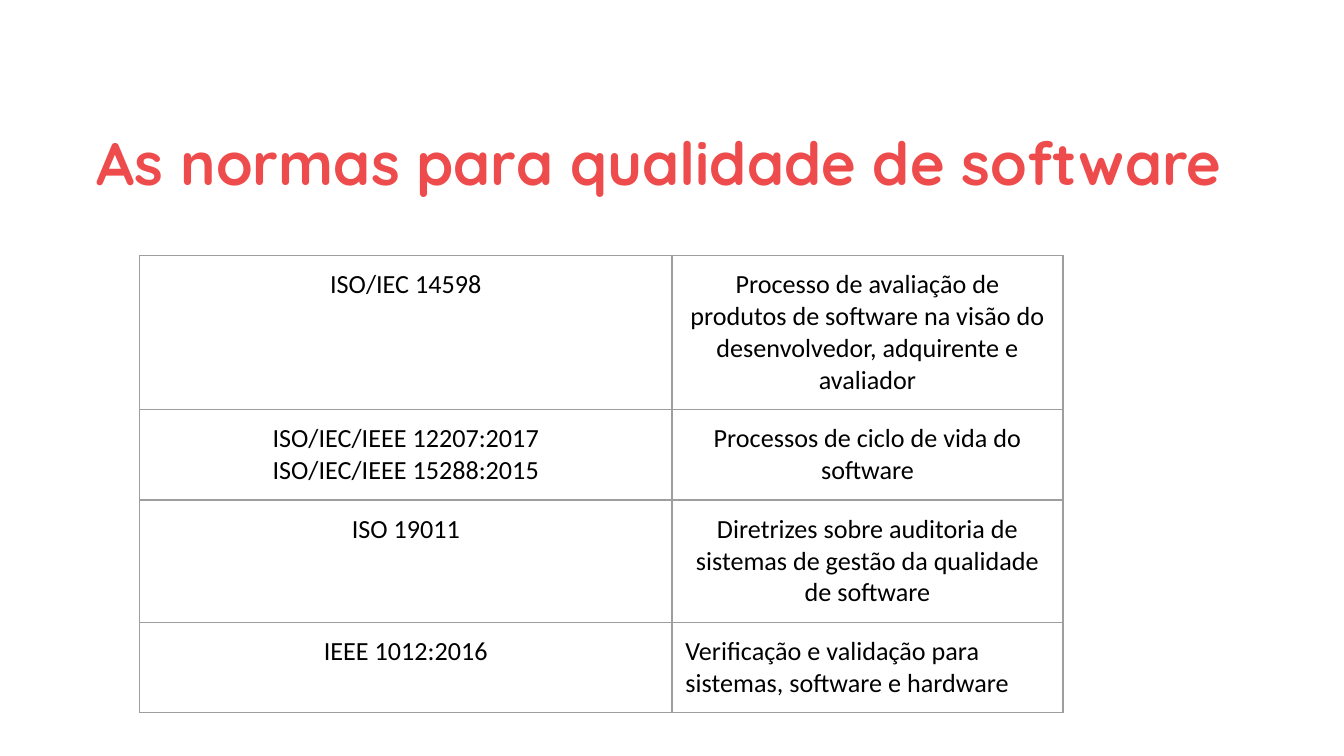
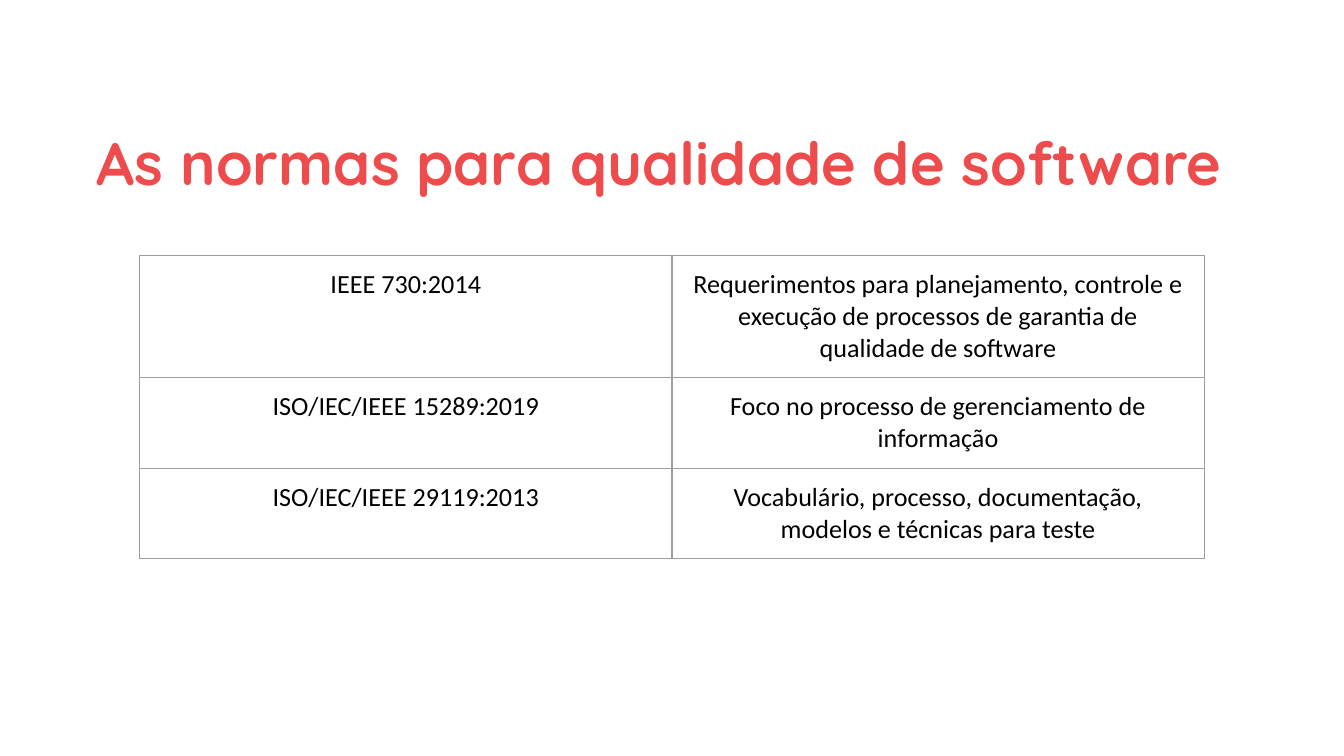
from lxml import etree
from pptx import Presentation
from pptx.dml.color import RGBColor
from pptx.enum.text import MSO_ANCHOR, MSO_AUTO_SIZE, PP_ALIGN
from pptx.oxml.ns import qn
from pptx.util import Inches, Pt

LEFT, CENTER = PP_ALIGN.LEFT, PP_ALIGN.CENTER
MIDDLE, TOP = MSO_ANCHOR.MIDDLE, MSO_ANCHOR.TOP
NO_AUTOFIT = MSO_AUTO_SIZE.NONE

RED = RGBColor(0xEE, 0x4C, 0x4C)
BLACK = RGBColor(0, 0, 0)
GRAY = RGBColor(0x9E, 0x9E, 0x9E)

SLIDE_W = Inches(10)
SLIDE_H = SLIDE_W * 9 // 16
TITLE_BOX = [Inches(n) for n in (0.62, 0.7, 9.06, 0.92)]
TABLE_LEFT, TABLE_TOP = Inches(1.04), Inches(1.9)
WIDE, NARROW = Inches(3.96), Inches(2.91)
ROW_H = Inches(0.42)
INSET = Inches(0.1)
BORDER_W = Pt(0.75)

TITLE = "As normas para qualidade de software"
EVALUATION_NORMS = [
    ("ISO/IEC 14598",
     "Processo de avaliação de produtos de software na visão do "
     "desenvolvedor, adquirente e avaliador"),
    ("ISO/IEC/IEEE 12207:2017\nISO/IEC/IEEE 15288:2015",
     "Processos de ciclo de vida do software"),
    ("ISO 19011",
     "Diretrizes sobre auditoria de sistemas de gestão da qualidade "
     "de software"),
    ("IEEE 1012:2016",
     "Verificação e validação para sistemas, software e hardware"),
]
PROCESS_NORMS = [
    ("IEEE 730:2014",
     "Requerimentos para planejamento, controle e execução de processos "
     "de garantia de qualidade de software"),
    ("ISO/IEC/IEEE 15289:2019",
     "Foco no processo de gerenciamento de informação"),
    ("ISO/IEC/IEEE 29119:2013",
     "Vocabulário, processo, documentação, modelos e técnicas para teste"),
]


def write(tf, text, size=14, font="Calibri", color=BLACK, bold=False,
          align=CENTER, spacing=1.0):
    """Fill a text frame, one paragraph for each line of text."""
    tf.word_wrap = True
    for i, line in enumerate(text.split("\n")):
        p = tf.paragraphs[0] if i == 0 else tf.add_paragraph()
        p.alignment = align
        p.line_spacing = spacing
        r = p.add_run()
        r.text = line
        r.font.size = Pt(size)
        r.font.name = font
        r.font.bold = bold
        r.font.color.rgb = color


def set_insets(box):
    box.margin_left = box.margin_right = INSET
    box.margin_top = box.margin_bottom = INSET


def add_borders(cell):
    tcPr = cell._tc.get_or_add_tcPr()
    for side in ("a:lnL", "a:lnR", "a:lnT", "a:lnB"):
        ln = etree.SubElement(tcPr, qn(side), w=str(BORDER_W))
        fill = etree.SubElement(ln, qn("a:solidFill"))
        etree.SubElement(fill, qn("a:srgbClr"), val=str(GRAY))


def add_title(slide, text):
    sp = slide.shapes.title
    sp.left, sp.top, sp.width, sp.height = TITLE_BOX
    tf = sp.text_frame
    tf.auto_size = NO_AUTOFIT
    tf.vertical_anchor = MIDDLE
    set_insets(tf)
    write(tf, text, size=32, font="Quicksand", color=RED, bold=True,
          align=LEFT, spacing=1.15)


def add_norm_table(slide, norms, widths, left_aligned=()):
    """Add a table of norms; left_aligned lists (row, column) exceptions."""
    table = slide.shapes.add_table(
        len(norms), len(widths), TABLE_LEFT, TABLE_TOP,
        sum(widths), ROW_H * len(norms)).table
    table.first_row = table.horz_banding = False
    for column, width in zip(table.columns, widths):
        column.width = width
    for i, norm in enumerate(norms):
        for j, text in enumerate(norm):
            cell = table.cell(i, j)
            set_insets(cell)
            cell.vertical_anchor = TOP
            add_borders(cell)
            cell.fill.background()
            write(cell.text_frame, text,
                  align=LEFT if (i, j) in left_aligned else CENTER)


def add_norm_slide(prs, norms, widths, left_aligned=()):
    slide = prs.slides.add_slide(prs.slide_layouts.get_by_name("Title Only"))
    add_title(slide, TITLE)
    add_norm_table(slide, norms, widths, left_aligned)


def main():
    prs = Presentation()
    prs.slide_width, prs.slide_height = SLIDE_W, SLIDE_H
    add_norm_slide(prs, EVALUATION_NORMS, (WIDE, NARROW),
                   left_aligned=[(3, 1)])
    add_norm_slide(prs, PROCESS_NORMS, (WIDE, WIDE))
    prs.save("out.pptx")


if __name__ == "__main__":
    main()
